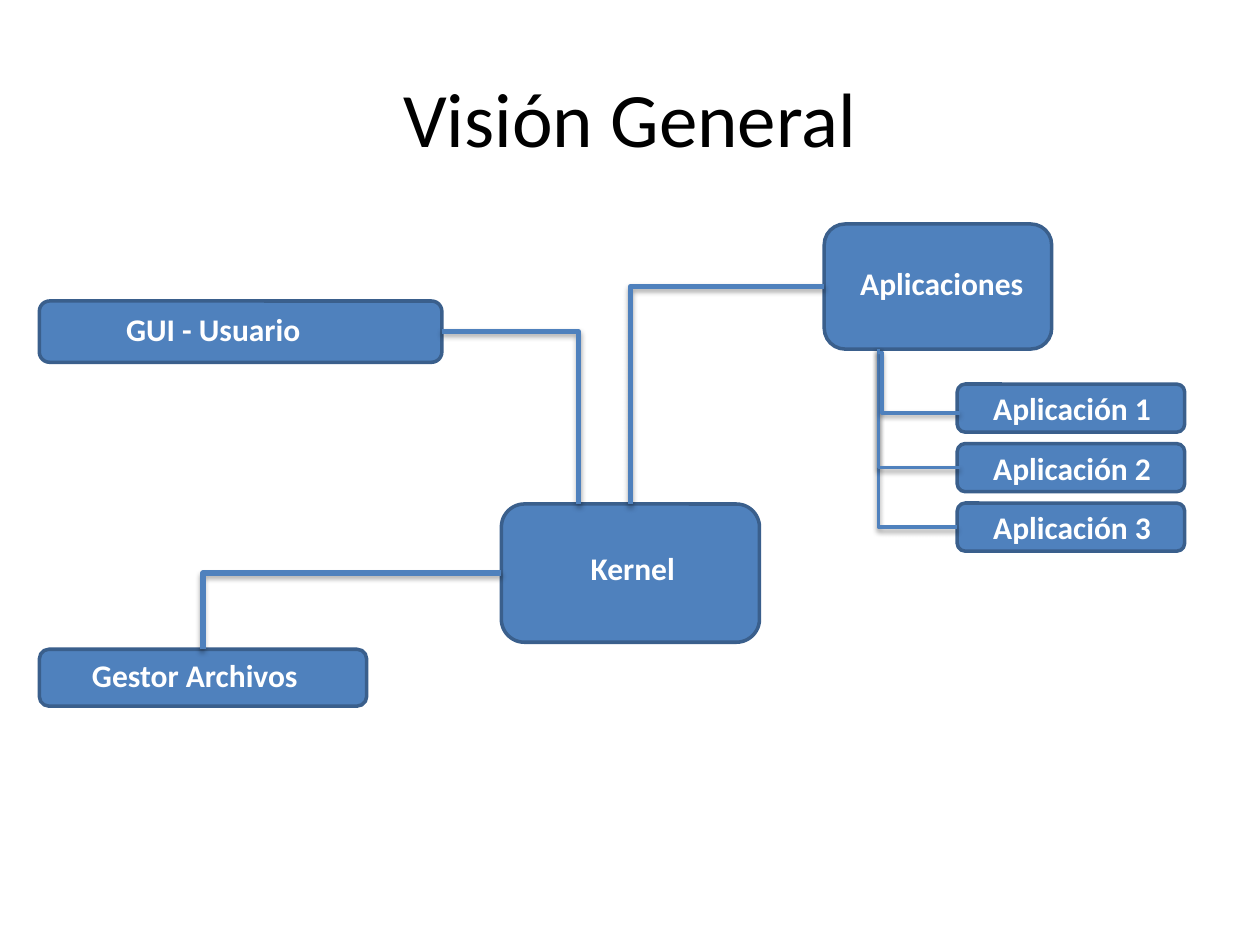
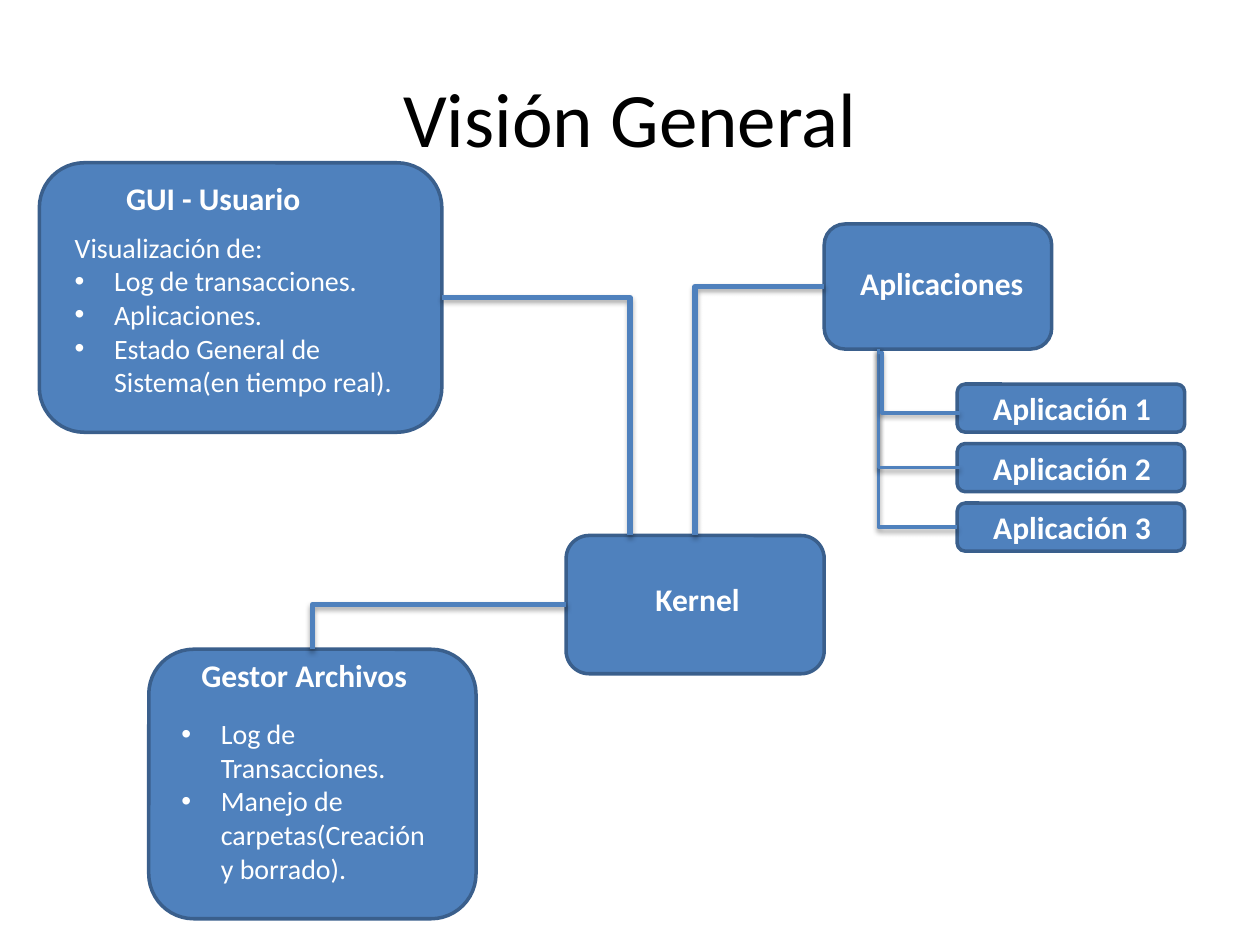
from collections import namedtuple

from lxml.etree import SubElement
from pptx import Presentation
from pptx.dml.color import RGBColor
from pptx.enum.shapes import MSO_CONNECTOR, MSO_SHAPE
from pptx.enum.text import MSO_ANCHOR, MSO_AUTO_SIZE, PP_ALIGN
from pptx.oxml.ns import qn
from pptx.util import Pt

BLUE = RGBColor(0x4F, 0x81, 0xBD)
EDGE = RGBColor(0x3A, 0x5F, 0x8C)
WHITE = RGBColor(0xFF, 0xFF, 0xFF)
BLACK = RGBColor(0, 0, 0)
FONT = "Calibri"
INDENT = 22.5
GUI_LIST = ["Visualización de:", "Log de transacciones.", "Aplicaciones.",
            "Estado General de Sistema(en tiempo real)."]
FILE_LIST = ["Log de Transacciones.", "Manejo de carpetas(Creación y borrado)."]

Box = namedtuple("Box", "left top width height")
KERNEL = Box(286.5, 288, 147.5, 79)
FILES = Box(22.5, 371, 187, 32.5)
GUI = Box(22.5, 172, 230, 35)
APPS = Box(471, 128, 130, 71.5)


def points(*values):
    """Turn numbers into point lengths."""
    return [Pt(value) for value in values]


def style(par, size, color, bold=False):
    """Format every run of a paragraph."""
    for run in par.runs:
        font = run.font
        font.name, font.size, font.bold = FONT, Pt(size), bold
        font.color.rgb = color


def start(deck, layout):
    """Add a slide with the shared title."""
    slide = deck.slides.add_slide(deck.slide_layouts[layout])
    title = slide.shapes.title
    title.left, title.top, title.width, title.height = points(36, 21.6, 648, 90)
    frame = title.text_frame
    frame.text = "Visión General"
    frame.vertical_anchor = MSO_ANCHOR.MIDDLE
    frame.paragraphs[0].alignment = PP_ALIGN.CENTER
    style(frame.paragraphs[0], 44, BLACK)
    return slide


def node(slide, box, text, dx, dy, width):
    """Draw a rounded box with its label, offset from the box corner."""
    shapes = slide.shapes.add_group_shape().shapes
    shape = shapes.add_shape(MSO_SHAPE.ROUNDED_RECTANGLE, *points(*box))
    shape.shadow.inherit = False
    shape.fill.solid()
    shape.fill.fore_color.rgb = BLUE
    shape.line.color.rgb = EDGE
    shape.line.width = Pt(2)
    label = shapes.add_textbox(*points(box.left + dx, box.top + dy, width, 29))
    frame = label.text_frame
    frame.word_wrap = True
    frame.auto_size = MSO_AUTO_SIZE.SHAPE_TO_FIT_TEXT
    frame.text = text
    style(frame.paragraphs[0], 18, WHITE, True)


def bend(slide, first, last, width=3, adjust=None):
    """Draw an elbow that leaves first sideways, with a soft shadow."""
    line = slide.shapes.add_connector(MSO_CONNECTOR.ELBOW, *points(*first, *last))
    line.line.color.rgb = BLUE
    line.line.width = Pt(width)
    props = line._element.spPr
    shape = props.find(qn("a:prstGeom"))
    if adjust is None:
        shape.set("prst", "bentConnector2")
    else:
        SubElement(shape.find(qn("a:avLst")), qn("a:gd"),
                   name="adj1", fmla=f"val {adjust}")
    effects = SubElement(props, qn("a:effectLst"))
    shadow = SubElement(effects, qn("a:outerShdw"), blurRad=str(Pt(3.1)),
                        dist=str(Pt(1.8 if width == 3 else 1.6)),
                        dir="5400000", rotWithShape="0")
    color = SubElement(shadow, qn("a:srgbClr"), val=str(BLACK))
    SubElement(color, qn("a:alpha"), val="35000" if width == 3 else "38000")


def notes(slide, holder, box, lines, dx, width, plain=0):
    """Fill a body placeholder above a box; the first plain lines lack bullets."""
    holder.left, holder.top, holder.width, holder.height = points(
        box.left + dx, box.top + 35, width, 104.5)
    frame = holder.text_frame
    frame.text = "\n".join(lines)
    frame.word_wrap = True
    frame.auto_size = MSO_AUTO_SIZE.NONE
    frame.vertical_anchor = MSO_ANCHOR.TOP
    for index, par in enumerate(frame.paragraphs):
        style(par, 16, WHITE)
        par.space_before = Pt(0)
        props = par._p.get_or_add_pPr()
        inset = 0 if index < plain else INDENT
        props.set("marL", str(Pt(inset)))
        props.set("indent", str(Pt(-inset)))
        if inset:
            SubElement(props, qn("a:buFont"), typeface="Arial")
            SubElement(props, qn("a:buChar"), char="•")
        else:
            SubElement(props, qn("a:buNone"))
    slide.shapes._spTree.append(holder._element)


def core(slide, kernel, files, gui, drop, rise):
    """Draw the kernel, file manager and interface with their links."""
    node(slide, kernel, "Kernel", 44, 22, 75)
    node(slide, files, "Gestor Archivos", 23, 0.5, 133)
    bend(slide, (kernel.left, kernel.top + kernel.height / 2),
         (files.left + files.width / 2, files.top))
    node(slide, gui, "GUI - Usuario", 42.5, rise, 117)
    bend(slide, (gui.left + gui.width, gui.top + gui.height / 2),
         (kernel.left + drop, kernel.top))


def tree(slide, box, kernel):
    """Draw the applications box, its link to the kernel and its branches."""
    node(slide, box, "Aplicaciones", 13.5, 19.5, 108)
    bend(slide, (box.left, box.top + box.height / 2),
         (kernel.left + kernel.width / 2, kernel.top))
    leaves = [Box(box.left + 76, box.top + 91.5 + 34 * row, 130, 27.5)
              for row in range(3)]
    for number, leaf in enumerate(leaves, 1):
        node(slide, leaf, f"Aplicación {number}", 13.5, -0.5, 108)
    trunk, base = box.left + 31, box.top + box.height
    for leaf, inset in ((leaves[2], 0), (leaves[1], 1.5)):
        bend(slide, (leaf.left + inset, leaf.top + leaf.height / 2),
             (trunk, base), 2)
    bend(slide, (trunk, base + 2), (leaves[0].left + 1.5, leaves[0].top + 16.5),
         2, 4200)


def brief(deck):
    """Build the slide with the bare diagram."""
    slide = start(deck, 5)
    core(slide, KERNEL, FILES, GUI, 44, 1.5)
    tree(slide, APPS, KERNEL)


def detail(deck):
    """Build the slide with the diagram and its lists."""
    slide = start(deck, 3)
    left, right = list(slide.placeholders)[1:3]
    kernel = KERNEL._replace(left=323.5, top=306)
    files = FILES._replace(left=85, height=154)
    gui = GUI._replace(top=93, height=154)
    core(slide, kernel, files, gui, 36.5, 6)
    notes(slide, right, files, FILE_LIST, 11.5, 158)
    notes(slide, left, gui, GUI_LIST, 13, 215, 1)
    tree(slide, APPS, kernel)


def main():
    """Build and save the deck."""
    deck = Presentation()
    deck.slide_width, deck.slide_height = points(720, 540)
    brief(deck)
    detail(deck)
    deck.save("out.pptx")


if __name__ == "__main__":
    main()
